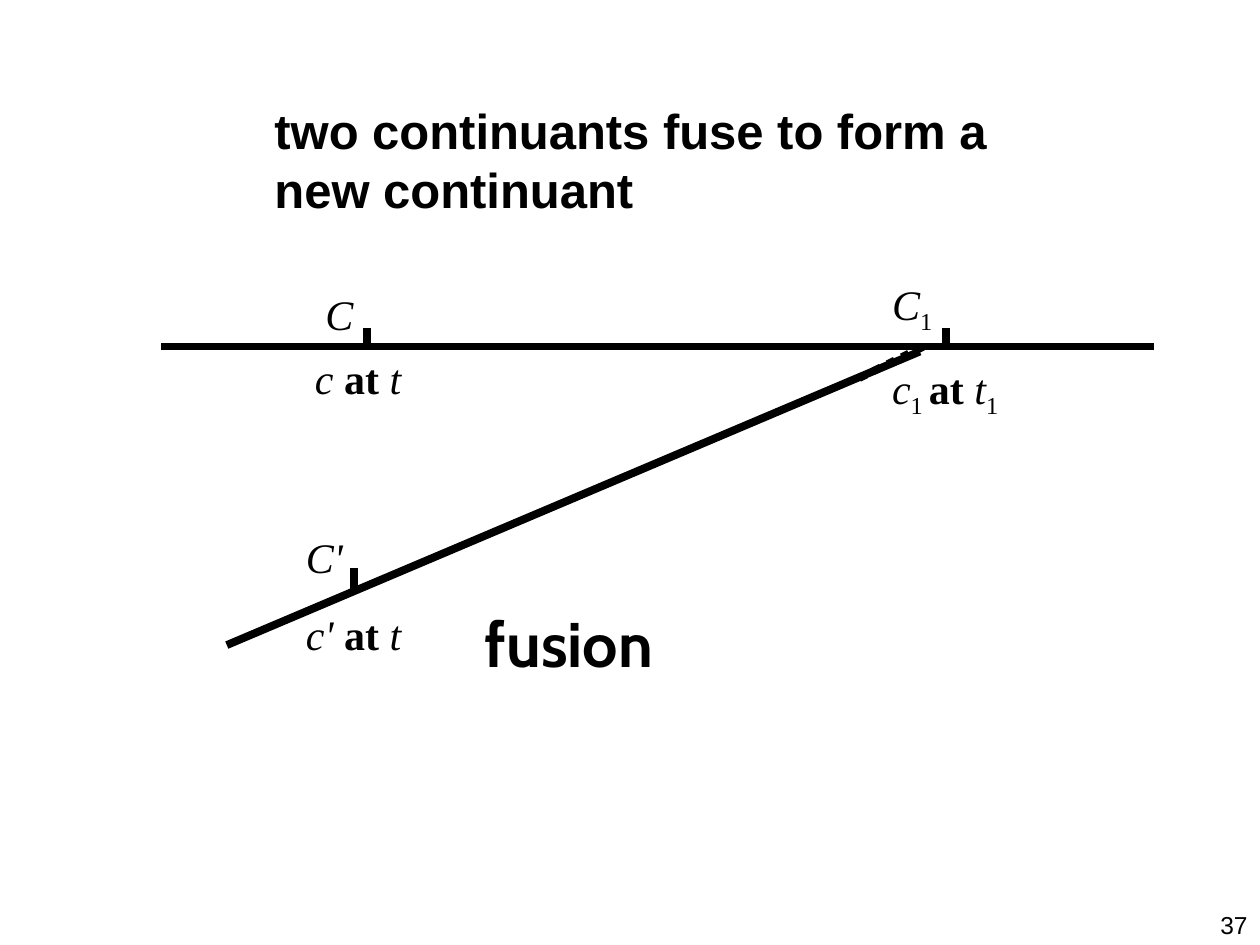
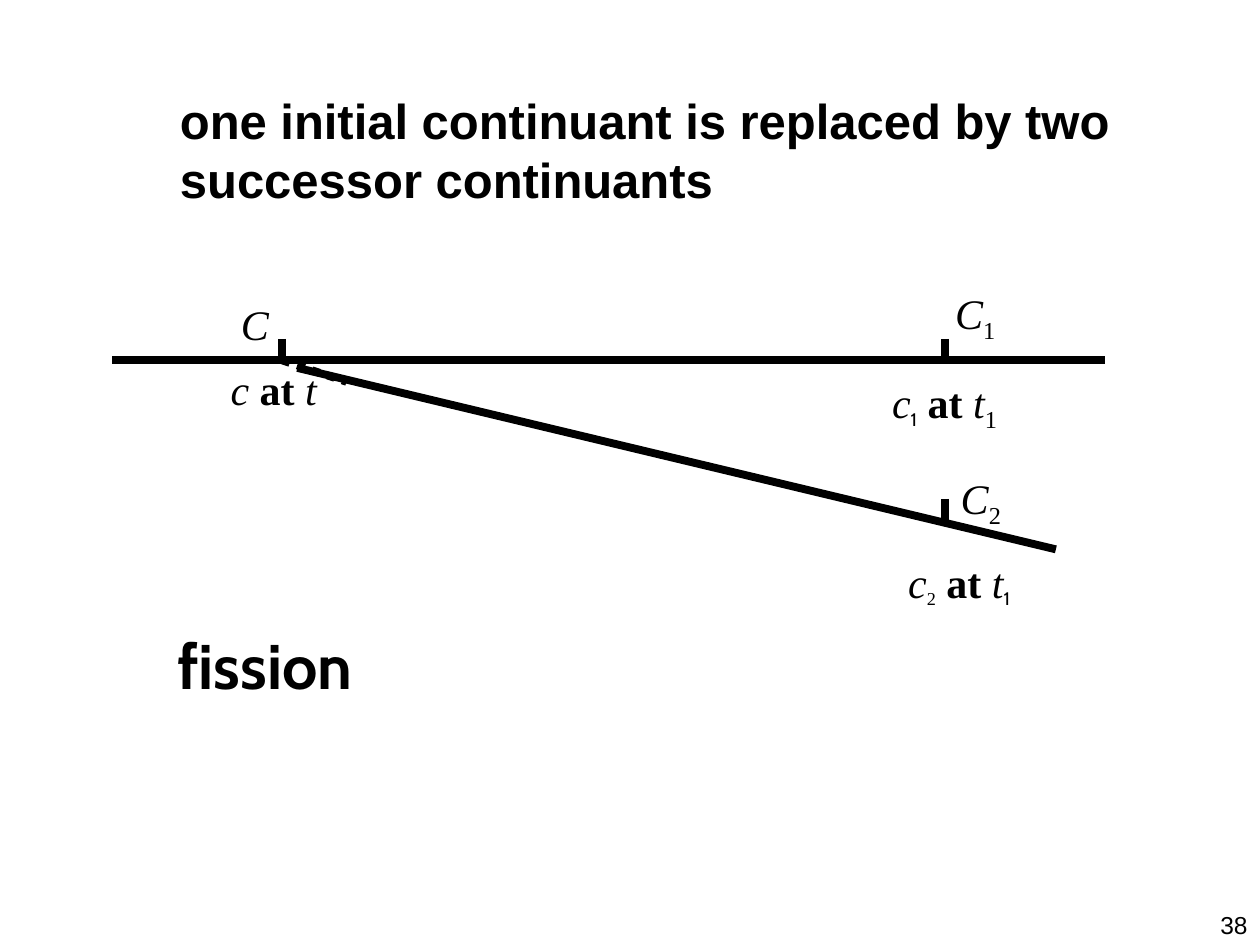
import pptx
import pptx.dml.color
import pptx.enum.dml
import pptx.enum.shapes
import pptx.enum.text
import pptx.oxml.ns
import pptx.util
import lxml.etree

BLACK = pptx.dml.color.RGBColor(0, 0, 0)
WHITE = pptx.dml.color.RGBColor(255, 255, 255)
COLUMNS, ROWS = 100, 75
CELL = pptx.util.Inches(0.1)
LINE_WIDTH = pptx.util.Pt(4.5)
HEADING_FONT, WORD_FONT, LABEL_FONT = "Arial", "Cabin", "Times New Roman"
WIDE_INSET, NARROW_INSET = 1, 0.8

ITALIC, BOLD, SUB, SMALL_SUB, WORD_SUB = range(5)
AT = ("at ", BOLD)
TIME = ("t", ITALIC)
C_AT_T = [("c ", ITALIC), AT, TIME]


def cells(count):
    return round(count * CELL)


def add_slide(presentation):
    slide = presentation.slides.add_slide(presentation.slide_layouts[6])
    slide.background.fill.solid()
    slide.background.fill.fore_color.rgb = WHITE
    return slide


def add_box(slide, left, top, width, height, inset=WIDE_INSET):
    box = slide.shapes.add_textbox(*map(cells, (left, top, width, height)))
    frame = box.text_frame
    frame.word_wrap = True
    frame.margin_left = frame.margin_right = cells(inset)
    frame.margin_top = frame.margin_bottom = cells(inset / 2)
    return frame


def set_font(paragraph, name, size, bold=False):
    paragraph.font.name = name
    paragraph.font.size = pptx.util.Pt(size)
    paragraph.font.bold = bold
    paragraph.font.color.rgb = BLACK


def add_text(slide, text, area, name, size, bold=True, align=None):
    paragraph = add_box(slide, *area).paragraphs[0]
    paragraph.text = text
    paragraph.alignment = align
    set_font(paragraph, name, size, bold)


def add_title(slide, text, left, top, width):
    add_text(slide, text, (left, top, width, 10.3), HEADING_FONT, 28)


def add_process_name(slide, text, left, top):
    add_text(slide, text, (left, top, 37.5, 7), WORD_FONT, 36)


def add_slide_number(slide, number):
    area = (COLUMNS - 17.5, ROWS - 3.3, 17.5, 3.3)
    add_text(slide, str(number), area, HEADING_FONT, 14, False,
             pptx.enum.text.PP_ALIGN.RIGHT)


def add_run(paragraph, text, style):
    run = paragraph.add_run()
    run.text = text
    run.font.italic = style == ITALIC
    run.font.bold = style == BOLD
    if style in (SUB, SMALL_SUB, WORD_SUB):
        run._r.get_or_add_rPr().set("baseline", "-25000")
    if style in (SMALL_SUB, WORD_SUB):
        run.font.size = pptx.util.Pt(18)
    if style == WORD_SUB:
        run.font.name = WORD_FONT


def add_label(slide, area, gap, continuant, stage, indent=0, inset=NARROW_INSET):
    frame = add_box(slide, *area, inset)
    above, below = frame.paragraphs[0], frame.add_paragraph()
    for paragraph, parts in ((above, continuant), (below, stage)):
        for text, style in parts:
            add_run(paragraph, text, style)
        set_font(paragraph, LABEL_FONT, 24)
    above.space_after = pptx.util.Pt(gap)
    above._p.get_or_add_pPr().set("marL", str(cells(indent)))


def add_line(slide, start, end, dotted=False):
    line = slide.shapes.add_connector(
        pptx.enum.shapes.MSO_CONNECTOR.STRAIGHT, *map(cells, (*start, *end)))
    line.line.color.rgb = BLACK
    line.line.width = LINE_WIDTH
    if dotted:
        line.line.dash_style = pptx.enum.dml.MSO_LINE.ROUND_DOT
    lxml.etree.SubElement(line._element.spPr, pptx.oxml.ns.qn("a:effectLst"))


def add_tick(slide, column, row):
    add_line(slide, (column, row), (column, row + 1.7))


def add_initial_label(slide, left, top):
    add_label(slide, (left, top, 10.6, 11.2), 8, [("C", ITALIC)], C_AT_T, indent=0.83)


def build_fusion(presentation):
    slide = add_slide(presentation)
    add_title(slide, "two continuants fuse to form a new continuant", 20.8, 7.5, 60.8)
    add_line(slide, (12.8, 27.5), (91.6, 27.5))
    add_line(slide, (18, 51.2), (73, 27.9))
    add_line(slide, (68.2, 30), (73.3, 27.5), dotted=True)
    for column, row in ((29.1, 26), (75.1, 26), (28.1, 45.1)):
        add_tick(slide, column, row)
    add_initial_label(slide, 24.2, 22.5)
    add_label(slide, (70, 21.7, 12, 13.4), 15, [("C", ITALIC), ("1", SUB)],
              [("c", ITALIC), ("1 ", SUB), AT, TIME, ("1", SUB)])
    add_label(slide, (23.3, 41.7, 16.7, 11.1), 15, [("C'", ITALIC)],
              [("c' ", ITALIC), AT, TIME], inset=WIDE_INSET)
    add_process_name(slide, "fusion", 37.5, 47.5)
    add_slide_number(slide, 37)


def build_fission(presentation):
    slide = add_slide(presentation)
    add_title(slide, "one initial continuant is replaced by two successor continuants",
              13.3, 6.7, 80)
    add_line(slide, (8.9, 28.6), (87.7, 28.6))
    add_line(slide, (23.6, 29.2), (83.8, 43.6))
    add_line(slide, (22.4, 28.6), (27.5, 30.3), dotted=True)
    for column, row in ((22.4, 26.9), (75, 26.9), (75, 39.6)):
        add_tick(slide, column, row)
    add_initial_label(slide, 17.5, 23.3)
    add_label(slide, (70, 22.4, 12, 15.2), 18, [("C", ITALIC), ("1", SUB)],
              [("c", ITALIC), ("1", WORD_SUB), (" ", ITALIC), AT, TIME, ("1", SUB)],
              indent=5)
    add_label(slide, (71.1, 37, 16.7, 11.9), 15, [("C", ITALIC), ("2", SUB)],
              [("c", ITALIC), ("2", SMALL_SUB), (" ", ITALIC), AT, TIME, ("1", WORD_SUB)],
              indent=4.17, inset=WIDE_INSET)
    add_process_name(slide, "fission", 13.1, 49.2)
    add_slide_number(slide, 38)


def main():
    presentation = pptx.Presentation()
    presentation.slide_width = cells(COLUMNS)
    presentation.slide_height = cells(ROWS)
    build_fusion(presentation)
    build_fission(presentation)
    presentation.save("out.pptx")


if __name__ == "__main__":
    main()
